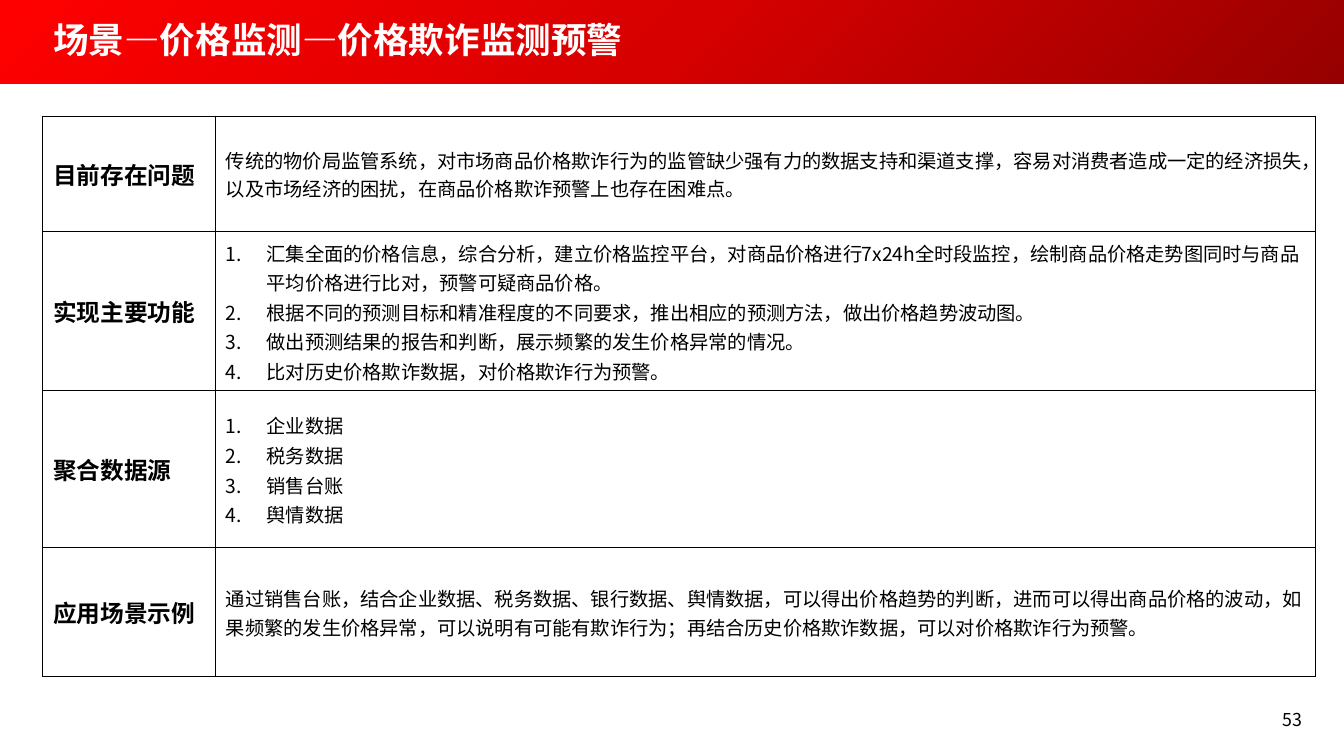
from copy import deepcopy

from lxml import etree
from pptx import Presentation
from pptx.dml.color import RGBColor
from pptx.enum.shapes import MSO_SHAPE
from pptx.enum.text import MSO_ANCHOR, PP_ALIGN
from pptx.oxml.ns import qn
from pptx.util import Cm, Pt

RECT = MSO_SHAPE.RECTANGLE
MIDDLE, TOP = MSO_ANCHOR.MIDDLE, MSO_ANCHOR.TOP
LEFT, RIGHT = PP_ALIGN.LEFT, PP_ALIGN.RIGHT

BLACK = RGBColor(0x00, 0x00, 0x00)
WHITE = RGBColor(0xFF, 0xFF, 0xFF)
BANNER_STOPS = [
    (0, RGBColor(0x97, 0x00, 0x00)),
    (0.5, RGBColor(0xD7, 0x00, 0x00)),
    (1, RGBColor(0xFF, 0x00, 0x00)),
]

CJK, LATIN = "Noto Sans CJK SC", "Calibri"
TITLE = {"name": CJK, "size": Pt(24), "bold": True}
LABEL = {"name": CJK, "size": Pt(16), "bold": True}
BODY = {"name": LATIN, "size": Pt(13), "bold": False}
LIST = {"name": CJK, "size": Pt(13), "bold": False}
NUMBER = {"name": CJK, "size": Pt(12), "bold": False}

COLUMN_WIDTHS = [4.11, 26.19]
PADDING = (0.25, 0.13, 0.25, 0.13)  # left, top, right, bottom

# height, label, paragraphs, font, line spacing, numbered, padding
ROWS = [
    (2.74, "目前存在问题", [
        "传统的物价局监管系统，对市场商品价格欺诈行为的监管缺少强有力的数据支持和渠道支撑，"
        "容易对消费者造成一定的经济损失，以及市场经济的困扰，在商品价格欺诈预警上也存在困难点。",
    ], BODY, 1.0, False, PADDING),
    (3.79, "实现主要功能", [
        "汇集全面的价格信息，综合分析，建立价格监控平台，对商品价格进行7x24h全时段监控，"
        "绘制商品价格走势图同时与商品平均价格进行比对，预警可疑商品价格。",
        "根据不同的预测目标和精准程度的不同要求，推出相应的预测方法，做出价格趋势波动图。",
        "做出预测结果的报告和判断，展示频繁的发生价格异常的情况。",
        "比对历史价格欺诈数据，对价格欺诈行为预警。",
    ], LIST, 1.07, True, PADDING),
    (3.73, "聚合数据源", ["企业数据", "税务数据", "销售台账", "舆情数据"],
     LIST, 1.07, True, (0.25, 0, 0.2, 0)),
    (3.07, "应用场景示例", [
        "通过销售台账，结合企业数据、税务数据、银行数据、舆情数据，可以得出价格趋势的判断，"
        "进而可以得出商品价格的波动，如果频繁的发生价格异常，可以说明有可能有欺诈行为；"
        "再结合历史价格欺诈数据，可以对价格欺诈行为预警。",
    ], BODY, 1.07, False, (0.25, 0, 0.3, 0)),
]


def add_solid(parent, tag, color):
    fill = etree.SubElement(parent, qn(tag))
    etree.SubElement(fill, qn("a:srgbClr"), val=str(color))


def number_paragraph(p):
    pPr = p._p.get_or_add_pPr()
    indent = Cm(0.97)
    pPr.set("marL", str(indent))
    pPr.set("indent", str(-indent))
    add_solid(pPr, "a:buClr", BLACK)
    etree.SubElement(pPr, qn("a:buAutoNum"), type="arabicPeriod")


def write(tf, texts, style, color=BLACK, align=LEFT, spacing=1.0, numbered=False):
    for i, text in enumerate(texts):
        p = tf.paragraphs[0] if i == 0 else tf.add_paragraph()
        if numbered:
            number_paragraph(p)
        p.alignment = align
        p.line_spacing = spacing
        r = p.add_run()
        r.text = text
        for key, value in style.items():
            setattr(r.font, key, value)
        r.font.color.rgb = color
        etree.SubElement(r._r.get_or_add_rPr(), qn("a:ea"), typeface=CJK)


def add_text(s, box, text, style, anchor=TOP, **options):
    tf = s.shapes.add_textbox(*map(Cm, box)).text_frame
    tf.word_wrap = True
    tf.vertical_anchor = anchor
    write(tf, [text], style, **options)


def add_banner(s, width, height):
    sp = s.shapes.add_shape(RECT, 0, 0, width, height)
    sp.shadow.inherit = False
    sp.line.fill.background()
    sp.fill.gradient()
    sp.fill.gradient_angle = 135
    stop_list = sp._element.spPr.find(".//" + qn("a:gsLst"))
    stop_list.append(deepcopy(stop_list[-1]))
    for stop, (position, color) in zip(sp.fill.gradient_stops, BANNER_STOPS):
        stop.position = position
        stop.color.rgb = color


def format_cell(cell, padding):
    cell.vertical_anchor = MIDDLE
    for side, value in zip(("left", "top", "right", "bottom"), padding):
        setattr(cell, f"margin_{side}", Cm(value))
    tcPr = cell._tc.get_or_add_tcPr()
    for tag in ("a:lnL", "a:lnR", "a:lnT", "a:lnB"):
        line = etree.SubElement(tcPr, qn(tag), w=str(Pt(1)))
        add_solid(line, "a:solidFill", BLACK)
    cell.fill.background()


def add_scenario_table(s, left, top):
    height = sum(row[0] for row in ROWS)
    frame = s.shapes.add_table(len(ROWS), len(COLUMN_WIDTHS), Cm(left), Cm(top),
                               Cm(sum(COLUMN_WIDTHS)), Cm(height))
    table = frame.table
    table.first_row = table.horz_banding = False
    for column, width in zip(table.columns, COLUMN_WIDTHS):
        column.width = Cm(width)
    for row, (height, label, texts, style, spacing, numbered, padding) in zip(table.rows, ROWS):
        row.height = Cm(height)
        label_cell, body_cell = row.cells
        format_cell(label_cell, PADDING)
        write(label_cell.text_frame, [label], LABEL)
        format_cell(body_cell, padding)
        write(body_cell.text_frame, texts, style, spacing=spacing, numbered=numbered)


def main():
    prs = Presentation()
    prs.slide_width, prs.slide_height = Cm(32), Cm(18)
    s = prs.slides.add_slide(prs.slide_layouts[6])

    # Banner and title
    add_banner(s, prs.slide_width, Cm(2))
    add_text(s, (1.02, 0, 27.6, 2), "场景—价格监测—价格欺诈监测预警", TITLE,
             anchor=MIDDLE, color=WHITE, spacing=0.9)

    # Scenario table
    add_scenario_table(s, 1.02, 2.77)

    # Page number
    add_text(s, (24.05, 16.74, 7.21, 0.97), "53", NUMBER, align=RIGHT)

    prs.save("out.pptx")


if __name__ == "__main__":
    main()
